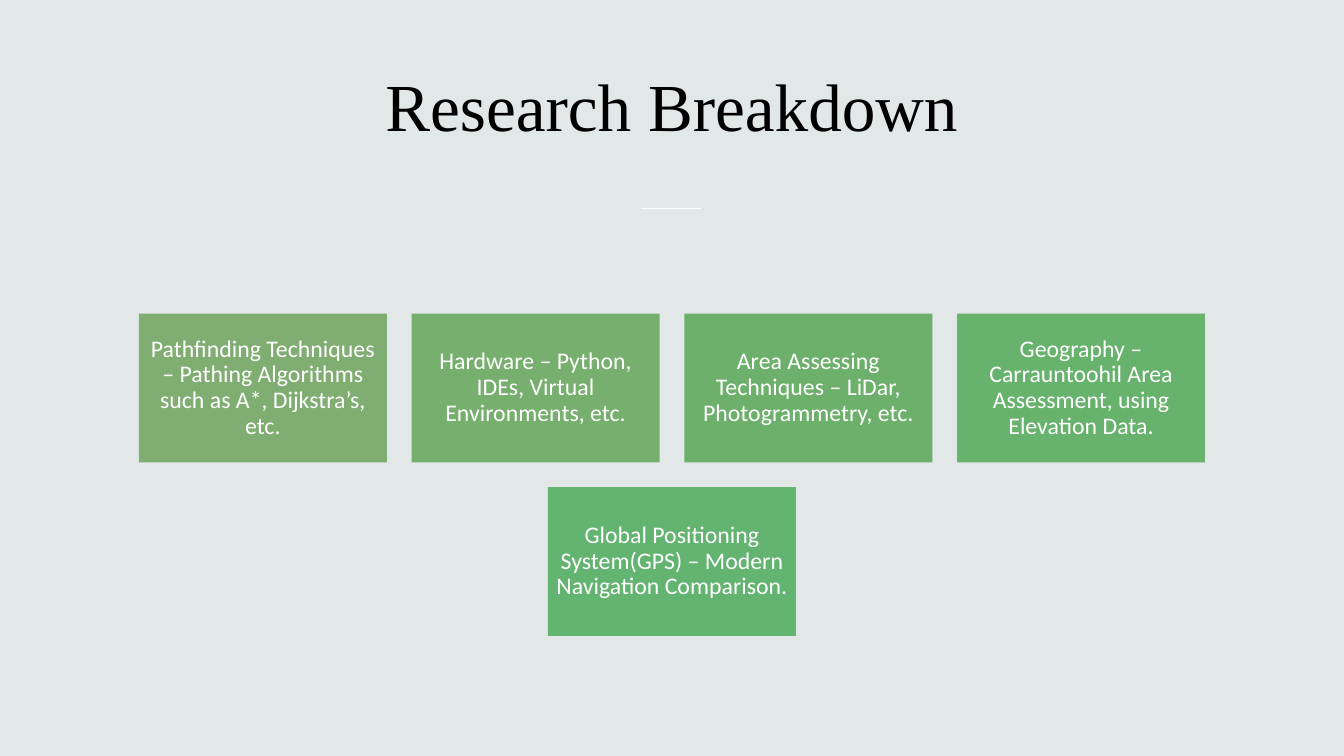
from lxml import etree
from pptx import Presentation
from pptx.dml.color import RGBColor
from pptx.enum.shapes import MSO_CONNECTOR, MSO_SHAPE
from pptx.enum.text import MSO_ANCHOR, PP_ALIGN
from pptx.oxml.ns import qn
from pptx.util import Pt

RECT = MSO_SHAPE.RECTANGLE
LINE = MSO_CONNECTOR.STRAIGHT
MIDDLE = MSO_ANCHOR.MIDDLE
CENTER = PP_ALIGN.CENTER

WIDTH, HEIGHT = 960, 540
BOX_W, BOX_H, GAP = 177.1, 106.3, 17.7
TOP = 224

ROWS = [
    [
        ("Pathfinding Techniques – Pathing Algorithms such as A*, Dijkstra’s, etc.", "80AE72"),
        ("Hardware – Python, IDEs, Virtual Environments, etc.", "77AF6E"),
        ("Area Assessing Techniques – LiDar, Photogrammetry, etc.", "6DB06B"),
        ("Geography – Carrauntoohil Area Assessment, using Elevation Data.", "67B26C"),
    ],
    [("Global Positioning System(GPS) – Modern Navigation Comparison.", "63B371")],
]


def color(code):
    """Turn a hex string into a colour."""
    return RGBColor.from_string(code)


def write(frame, text, font, size, code):
    """Fill a text frame with one centred paragraph."""
    frame.word_wrap = True
    frame.vertical_anchor = MIDDLE
    para = frame.paragraphs[0]
    para.text = text
    para.alignment = CENTER
    para.font.name = font
    para.font.size = Pt(size)
    para.font.color.rgb = color(code)
    return para


def add_title(slide, text):
    """Place and format the slide title."""
    title = slide.shapes.title
    title.left, title.top = Pt(77.8), Pt(20.2)
    title.width, title.height = Pt(804.2), Pt(109.4)
    write(title.text_frame, text, "Times New Roman", 48, "000000")


def add_rule(slide, left, right, top):
    """Draw the thin white rule below the title."""
    rule = slide.shapes.add_connector(LINE, Pt(left), Pt(top), Pt(right), Pt(top))
    rule.line.color.rgb = color("FFFFFF")
    rule.line.width = Pt(1)
    etree.SubElement(rule._element.spPr, qn("a:effectLst"))


def add_box(slide, left, top, text, fill):
    """Draw one filled topic box with its text."""
    box = slide.shapes.add_shape(RECT, Pt(left), Pt(top), Pt(BOX_W), Pt(BOX_H))
    box.shadow.inherit = False
    box.fill.solid()
    box.fill.fore_color.rgb = color(fill)
    box.line.fill.background()
    frame = box.text_frame
    frame.margin_left = frame.margin_right = Pt(5)
    frame.margin_top = frame.margin_bottom = Pt(5)
    write(frame, text, "Calibri", 17, "FFFFFF").line_spacing = 0.9


def add_row(slide, top, topics):
    """Draw a row of topic boxes centred on the slide."""
    step = BOX_W + GAP
    left = (WIDTH - len(topics) * step + GAP) / 2
    for col, (text, fill) in enumerate(topics):
        add_box(slide, left + col * step, top, text, fill)


def main():
    """Build and save the slide."""
    deck = Presentation()
    deck.slide_width, deck.slide_height = Pt(WIDTH), Pt(HEIGHT)
    slide = deck.slides.add_slide(deck.slide_layouts[5])
    slide.background.fill.solid()
    slide.background.fill.fore_color.rgb = color("E2E7E8")
    add_title(slide, "Research Breakdown")
    add_rule(slide, 458.2, 500.7, 149)
    for row, topics in enumerate(ROWS):
        add_row(slide, TOP + row * (BOX_H + GAP), topics)
    deck.save("out.pptx")


if __name__ == "__main__":
    main()
